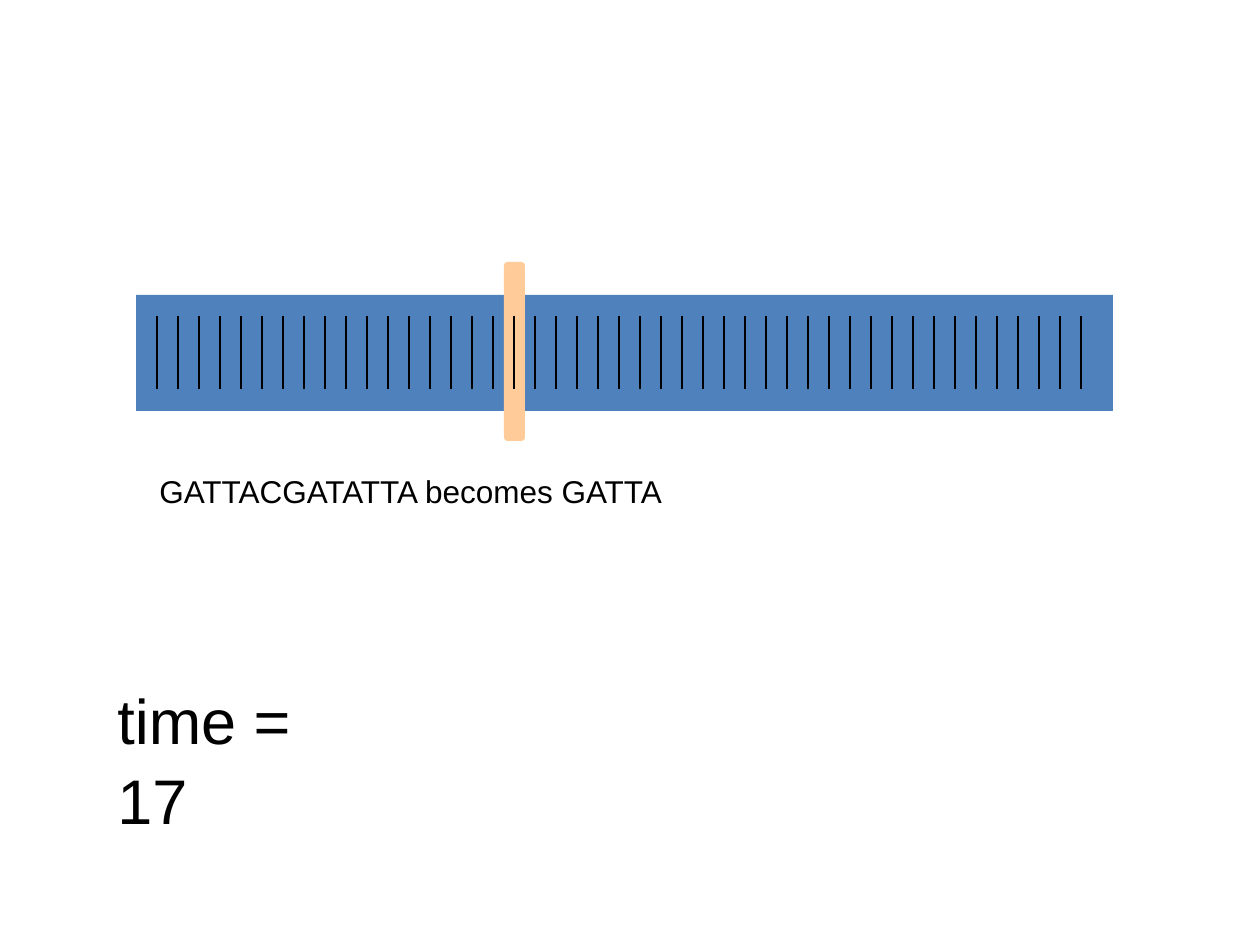
from lxml import etree
from pptx import Presentation, util as u
from pptx.dml.color import RGBColor
from pptx.enum import shapes, text
from pptx.oxml.ns import qn

PX = u.Inches(1) / 126
COLORS = {"tape": "4F81BD", "head": "FFCC99", "ink": "000000"}
FONT = "Arial"

# left, top, width, height in px
TAPE = (136, 295, 977, 116)
HEAD = (504, 262, 21, 179)
LABELS = [
    ("GATTACGATATTA becomes GATTA", 18, (147, 464, 704, 63)),
    ("time = 17", 36, (105, 672, 267, 88)),
]
TICKS = {"count": 45, "left": 157, "step": 21, "top": 316, "bottom": 389}


def px(*values):
    return [u.Emu(round(v * PX)) for v in values]


def rgb(name):
    return RGBColor.from_string(COLORS[name])


def add_block(slide, kind, box, color):
    sp = slide.shapes.add_shape(kind, *px(*box))
    sp.shadow.inherit = False
    sp.fill.solid()
    sp.fill.fore_color.rgb = rgb(color)
    sp.line.fill.background()
    return sp


def add_label(slide, words, size, box):
    tf = slide.shapes.add_textbox(*px(*box)).text_frame
    tf.word_wrap = True
    tf.auto_size = text.MSO_AUTO_SIZE.SHAPE_TO_FIT_TEXT
    p = tf.paragraphs[0]
    p.line_spacing = 1.05
    r = p.add_run()
    r.text = words
    r.font.name = FONT
    r.font.size = u.Pt(size)
    r.font.color.rgb = rgb("ink")


def add_tick(slide, x):
    line = slide.shapes.add_connector(
        shapes.MSO_CONNECTOR.STRAIGHT, *px(x, TICKS["top"], x, TICKS["bottom"]))
    line.line.color.rgb = rgb("ink")
    line.line.width = u.Pt(0.75)
    etree.SubElement(line._element.spPr, qn("a:effectLst"))


def main():
    prs = Presentation()
    prs.slide_width, prs.slide_height = px(1260, 945)
    slide = prs.slides.add_slide(prs.slide_layouts[6])

    add_block(slide, shapes.MSO_SHAPE.RECTANGLE, TAPE, "tape")
    head = add_block(slide, shapes.MSO_SHAPE.ROUNDED_RECTANGLE, HEAD, "head")
    head.adjustments[0] = 0.17
    for label in LABELS:
        add_label(slide, *label)
    for i in range(TICKS["count"]):
        add_tick(slide, TICKS["left"] + i * TICKS["step"])

    prs.save("out.pptx")


if __name__ == "__main__":
    main()
